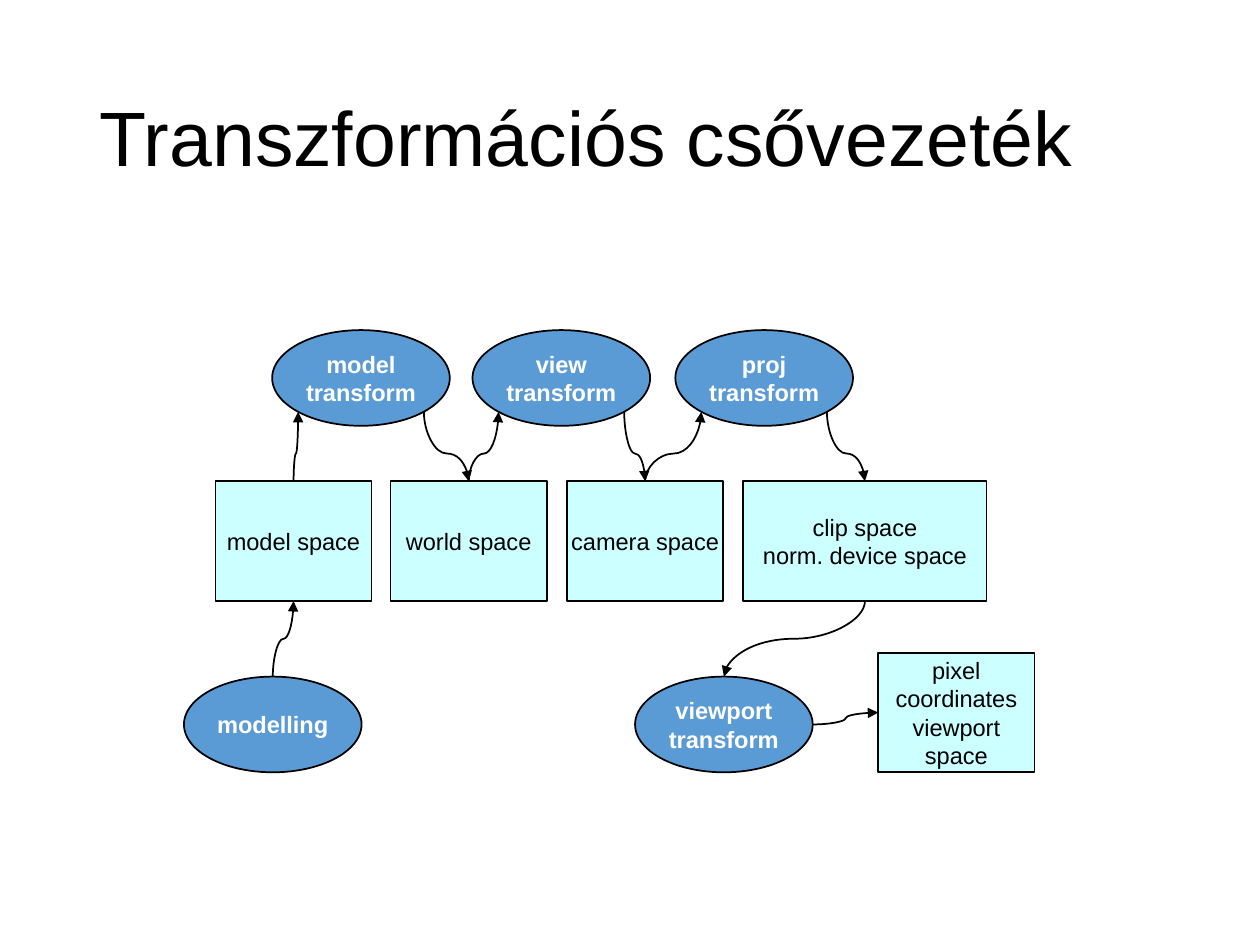
"""Build the transformation pipeline slide."""
from dataclasses import dataclass
from math import sqrt

from lxml import etree
from pptx import Presentation
from pptx.dml.color import RGBColor
from pptx.enum.shapes import MSO_CONNECTOR, MSO_SHAPE
from pptx.enum.text import MSO_ANCHOR, PP_ALIGN
from pptx.oxml.ns import qn
from pptx.util import Inches, Pt

OVAL, RECT = MSO_SHAPE.OVAL, MSO_SHAPE.RECTANGLE
CURVE = MSO_CONNECTOR.CURVE
MIDDLE = MSO_ANCHOR.MIDDLE
LEFT, CENTER = PP_ALIGN.LEFT, PP_ALIGN.CENTER
BLACK, WHITE, BLUE, CYAN = "000000", "FFFFFF", "5B9BD5", "CCFFFF"
FONT = "Arial"
SIDES = {
    "top": (0, -1),
    "bottom": (0, 1),
    "left": (-1, 0),
    "right": (1, 0),
    "low left": (-sqrt(0.5), sqrt(0.5)),
    "low right": (sqrt(0.5), sqrt(0.5)),
}


@dataclass
class Node:
    text: str
    x: float
    y: float
    w: float = 1.24
    h: float = 0.95
    oval: bool = False

    def point(self, side: str) -> tuple[float, float]:
        dx, dy = SIDES[side]
        return self.x + self.w / 2 * (1 + dx), self.y + self.h / 2 * (1 + dy)


@dataclass
class Link:
    start: str
    exit: str
    end: str
    entry: str
    bend: float = 0.5


def step(text: str, x: float, y: float) -> Node:
    return Node(text, x, y, 1.41, 0.76, True)


NODES = {
    "model": step("model\ntransform", 2.16, 2.62),
    "local": Node("model space", 1.71, 3.82),
    "make": step("modelling", 1.46, 5.37),
    "world": Node("world space", 3.1, 3.82),
    "view": step("view\ntransform", 3.75, 2.62),
    "camera": Node("camera space", 4.5, 3.82),
    "proj": step("proj\ntransform", 5.36, 2.62),
    "clip": Node("clip space\nnorm. device space", 5.9, 3.82, 1.93),
    "port": step("viewport\ntransform", 5.04, 5.37),
    "pixel": Node("pixel\ncoordinates\nviewport\nspace", 6.97, 5.18),
}
CHAIN = [("local", "model", "world"), ("world", "view", "camera"),
         ("camera", "proj", "clip")]


def color(code: str) -> RGBColor:
    return RGBColor.from_string(code)


def style(frame, size: float, code: str, align, bold: bool = False) -> None:
    frame.vertical_anchor = MIDDLE
    for para in frame.paragraphs:
        para.alignment = align
        for run in para.runs:
            run.font.name, run.font.size = FONT, Pt(size)
            run.font.bold = bold
            run.font.color.rgb = color(code)


def outline(shape) -> None:
    shape.line.color.rgb = color(BLACK)
    shape.line.width = Pt(1)


def draw_node(slide, node: Node) -> None:
    box = map(Inches, (node.x, node.y, node.w, node.h))
    shape = slide.shapes.add_shape(OVAL if node.oval else RECT, *box)
    shape.shadow.inherit = False
    shape.fill.solid()
    shape.fill.fore_color.rgb = color(BLUE if node.oval else CYAN)
    outline(shape)
    frame = shape.text_frame
    frame.word_wrap = False
    frame.text = node.text
    style(frame, 13.5, WHITE if node.oval else BLACK, CENTER, node.oval)


def draw_link(slide, link: Link) -> None:
    x1, y1 = NODES[link.start].point(link.exit)
    x2, y2 = NODES[link.end].point(link.entry)
    turn = 0
    if link.entry in ("top", "bottom", "low left"):
        down, right = y2 > y1, x2 > x1
        turn = 90 if down and not right else 270
        mx, my = (x1 + x2) / 2, (y1 + y2) / 2
        w, h = abs(y2 - y1), abs(x2 - x1)
        x1, x2, y1, y2 = mx - w / 2, mx + w / 2, my - h / 2, my + h / 2
        if down and right:
            x1, x2 = x2, x1
    line = slide.shapes.add_connector(CURVE, *map(Inches, (x1, y1, x2, y2)))
    outline(line)
    props = line._element.spPr
    props.find(qn("a:xfrm")).set("rot", str(turn * 60000))
    guide = etree.SubElement(props.find(".//" + qn("a:avLst")), qn("a:gd"))
    guide.set("name", "adj1")
    guide.set("fmla", f"val {round(link.bend * 100000)}")
    etree.SubElement(props.find(qn("a:ln")), qn("a:tailEnd")).set("type", "triangle")
    etree.SubElement(props, qn("a:effectLst"))


def draw_title(slide) -> None:
    title = slide.shapes.title
    title.left, title.top = Inches(0.69), Inches(0.4)
    title.width, title.height = Inches(8.62), Inches(1.45)
    title.text_frame.text = "Transzformációs csővezeték"
    title.text_frame.paragraphs[0].line_spacing = 0.9
    style(title.text_frame, 44, BLACK, LEFT)


def main() -> None:
    deck = Presentation()
    deck.slide_width, deck.slide_height = Inches(10), Inches(7.5)
    slide = deck.slides.add_slide(deck.slide_layouts[5])
    draw_title(slide)
    for node in NODES.values():
        draw_node(slide, node)
    links = [Link("make", "top", "local", "bottom")]
    for source, change, target in CHAIN:
        links.append(Link(source, "top", change, "low left", 0.4))
        links.append(Link(change, "low right", target, "top", 0.6))
    links.append(Link("clip", "bottom", "port", "top"))
    links.append(Link("port", "right", "pixel", "left"))
    for link in links:
        draw_link(slide, link)
    deck.save("out.pptx")


if __name__ == "__main__":
    main()
